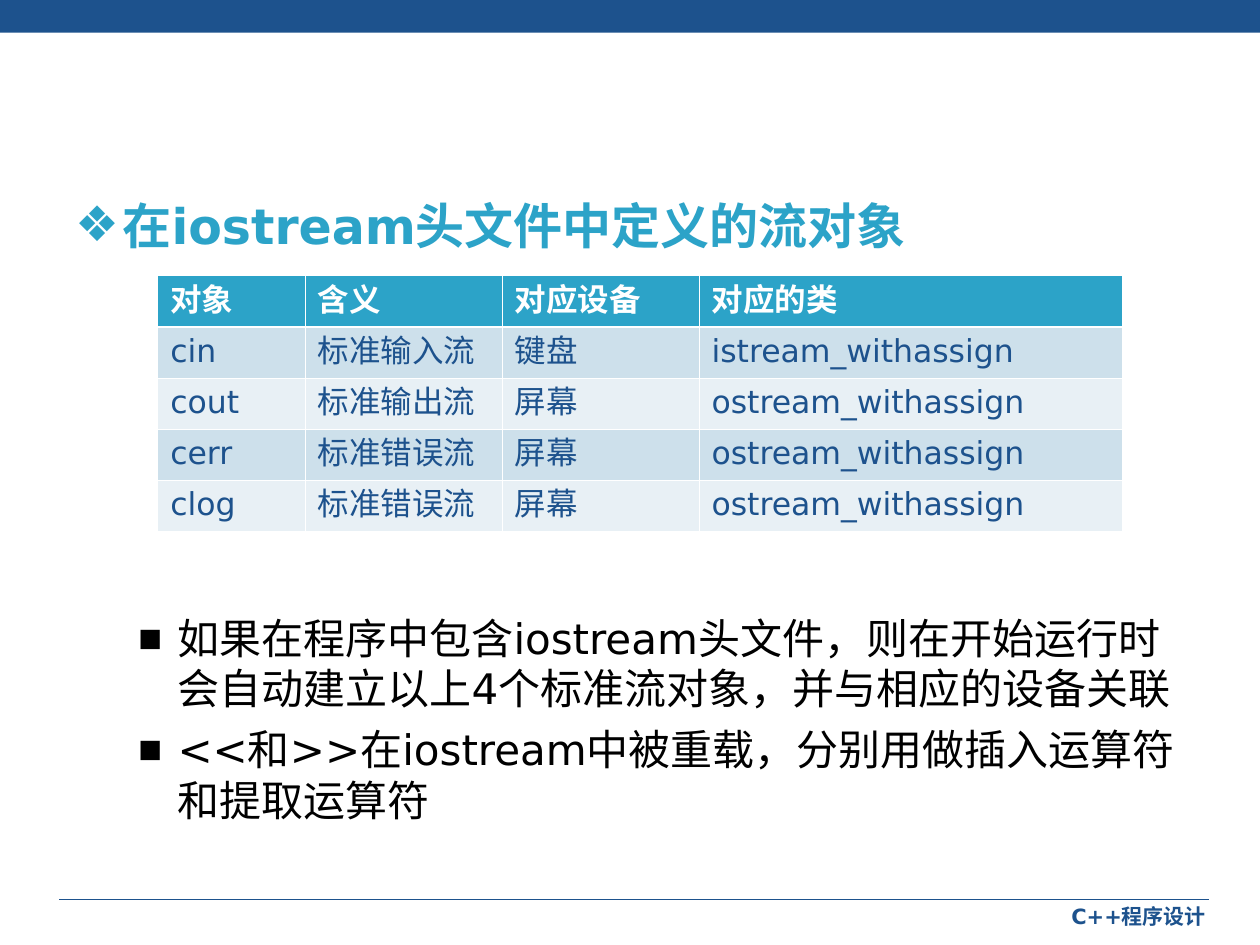
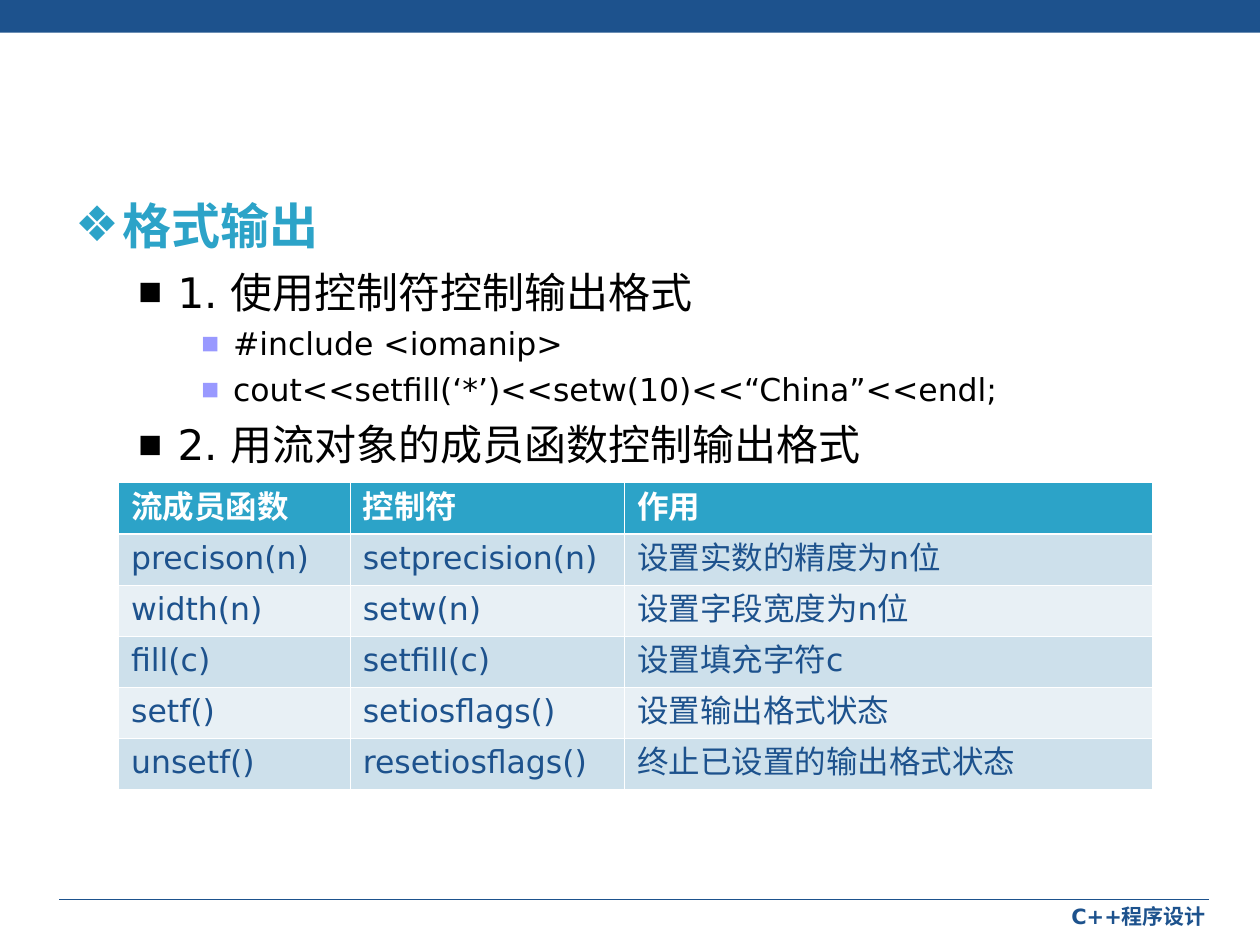
from dataclasses import dataclass

from lxml.etree import SubElement
from pptx import Presentation
from pptx.dml.color import RGBColor
from pptx.enum.shapes import MSO_CONNECTOR, MSO_SHAPE
from pptx.enum.text import MSO_ANCHOR, MSO_AUTO_SIZE, PP_ALIGN
from pptx.oxml.ns import qn
from pptx.slide import Slide
from pptx.util import Cm, Pt

FONT = "DejaVu Sans"
NAVY, TEAL, LILAC = "1D528D", "2CA3C8", "9999FF"
BLACK, WHITE = "000000", "FFFFFF"
BANDS = ("CDE0EB", "E8F0F5")
WIDE, HIGH = 25.4, 19.05
LEFT, SPAN, FOOT = 1.27, 22.86, 17.93
ROW = 1.03


@dataclass(frozen=True)
class Style:
    size: float
    color: str
    bold: bool = False


@dataclass(frozen=True)
class Level:
    style: Style
    mark: str
    tint: str
    scale: int
    indent: float
    hang: float
    gap: float


@dataclass(frozen=True)
class Point:
    text: str
    level: Level


@dataclass(frozen=True)
class Grid:
    left: float
    top: float
    widths: tuple[float, ...]
    rows: tuple[tuple[str, ...], ...]


@dataclass(frozen=True)
class Page:
    title: str
    top: float
    points: tuple[Point, ...]
    grid: Grid


HEAD = Level(Style(28, TEAL, True), "❖", TEAL, 100, 0.95, 0.95, 0)
MAIN = Level(Style(24, BLACK), "■", BLACK, 60, 2.06, 0.79, 6)
SUB = Level(Style(18, BLACK), "■", LILAC, 60, 3.18, 0.64, 4.5)
FOOTER = Style(12, NAVY, True)
HEADER = Style(18, WHITE, True)
BODY = Style(18, NAVY)

PAGES = (
    Page(
        "在iostream头文件中定义的流对象",
        12.22,
        (
            Point("如果在程序中包含iostream头文件，则在开始运行时会自动建立以上4个标准流对象，并与相应的设备关联", MAIN),
            Point("<<和>>在iostream中被重载，分别用做插入运算符和提取运算符", MAIN),
        ),
        Grid(3.18, 5.56, (2.97, 3.97, 3.97, 8.53), (
            ("对象", "含义", "对应设备", "对应的类"),
            ("cin", "标准输入流", "键盘", "istream_withassign"),
            ("cout", "标准输出流", "屏幕", "ostream_withassign"),
            ("cerr", "标准错误流", "屏幕", "ostream_withassign"),
            ("clog", "标准错误流", "屏幕", "ostream_withassign"),
        )),
    ),
    Page(
        "格式输出",
        5.24,
        (
            Point("1. 使用控制符控制输出格式", MAIN),
            Point("#include <iomanip>", SUB),
            Point("cout<<setfill(‘*’)<<setw(10)<<“China”<<endl;", SUB),
            Point("2. 用流对象的成员函数控制输出格式", MAIN),
        ),
        Grid(2.39, 9.73, (4.67, 5.53, 10.63), (
            ("流成员函数", "控制符", "作用"),
            ("precison(n)", "setprecision(n)", "设置实数的精度为n位"),
            ("width(n)", "setw(n)", "设置字段宽度为n位"),
            ("fill(c)", "setfill(c)", "设置填充字符c"),
            ("setf()", "setiosflags()", "设置输出格式状态"),
            ("unsetf()", "resetiosflags()", "终止已设置的输出格式状态"),
        )),
    ),
)


def rgb(code: str) -> RGBColor:
    return RGBColor.from_string(code)


def write(para, text: str, style: Style) -> None:
    para.text = text
    for run in para.runs:
        font = run.font
        font.size, font.bold = Pt(style.size), style.bold
        font.color.rgb = rgb(style.color)
        font.name = FONT
        SubElement(run.font._element, qn("a:ea"), typeface=FONT)


def bullet(para, level: Level) -> None:
    """Give a paragraph the mark and hanging indent of its level."""
    props = para._p.get_or_add_pPr()
    props.set("marL", str(Cm(level.indent)))
    props.set("indent", str(-Cm(level.hang)))
    tint = SubElement(props, qn("a:buClr"))
    SubElement(tint, qn("a:srgbClr"), val=level.tint)
    SubElement(props, qn("a:buSzPct"), val=str(level.scale * 1000))
    SubElement(props, qn("a:buFont"), typeface=FONT)
    SubElement(props, qn("a:buChar"), char=level.mark)


def add_box(slide: Slide, left: float, top: float, width: float, height: float):
    box = slide.shapes.add_textbox(Cm(left), Cm(top), Cm(width), Cm(height))
    box.text_frame.word_wrap = True
    return box.text_frame


def add_frame(slide: Slide) -> None:
    """Draw the top band, the footer rule and the footer."""
    band = slide.shapes.add_shape(MSO_SHAPE.RECTANGLE, 0, 0, Cm(WIDE), Cm(0.66))
    band.shadow.inherit = False
    band.fill.solid()
    band.fill.fore_color.rgb = rgb(NAVY)
    band.line.fill.background()
    rule = slide.shapes.add_connector(
        MSO_CONNECTOR.STRAIGHT, Cm(1.19), Cm(18.13), Cm(24.38), Cm(18.13))
    rule.line.color.rgb = rgb(NAVY)
    rule.line.width = Pt(0.75)
    SubElement(rule._element.spPr, qn("a:effectLst"))
    para = add_box(slide, 16.51, 18.08, 8.05, 0.84).paragraphs[0]
    para.alignment = PP_ALIGN.RIGHT
    write(para, "C++程序设计", FOOTER)


def add_title(slide: Slide, text: str) -> None:
    title = slide.shapes.title
    title.left, title.top = Cm(LEFT), Cm(3.81)
    title.width, title.height = Cm(SPAN), Cm(1.4)
    frame = title.text_frame
    frame.auto_size = MSO_AUTO_SIZE.NONE
    frame.vertical_anchor = MSO_ANCHOR.TOP
    para = frame.paragraphs[0]
    para.alignment = PP_ALIGN.LEFT
    bullet(para, HEAD)
    write(para, text, HEAD.style)


def add_points(slide: Slide, top: float, points: tuple[Point, ...]) -> None:
    frame = add_box(slide, LEFT, top, SPAN, FOOT - top)
    for index, point in enumerate(points):
        para = frame.add_paragraph() if index else frame.paragraphs[0]
        para.level = 2 if point.level is SUB else 1
        para.space_before = Pt(point.level.gap if index else 0)
        bullet(para, point.level)
        write(para, point.text, point.level.style)


def add_edge(cell, side: str, width: float) -> None:
    edge = SubElement(cell._tc.get_or_add_tcPr(), qn(f"a:{side}"), w=str(Pt(width)))
    fill = SubElement(edge, qn("a:solidFill"))
    SubElement(fill, qn("a:srgbClr"), val=WHITE)


def add_grid(slide: Slide, grid: Grid) -> None:
    count = len(grid.rows)
    table = slide.shapes.add_table(
        count, len(grid.widths), Cm(grid.left), Cm(grid.top),
        Cm(sum(grid.widths)), Cm(ROW * count)).table
    for column, width in zip(table.columns, grid.widths):
        column.width = Cm(width)
    for r, texts in enumerate(grid.rows):
        table.rows[r].height = Cm(ROW)
        for c, text in enumerate(texts):
            cell = table.cell(r, c)
            thick = {0: "lnB", 1: "lnT"}.get(r)
            for side in ("lnL", "lnR", "lnT", "lnB"):
                add_edge(cell, side, 1.47 if side == thick else 0.45)
            cell.fill.solid()
            cell.fill.fore_color.rgb = rgb(BANDS[(r - 1) % 2] if r else TEAL)
            write(cell.text_frame.paragraphs[0], text, BODY if r else HEADER)


def main() -> None:
    deck = Presentation()
    deck.slide_width, deck.slide_height = Cm(WIDE), Cm(HIGH)
    layout = deck.slide_layouts.get_by_name("Title Only")
    for page in PAGES:
        slide = deck.slides.add_slide(layout)
        add_frame(slide)
        add_title(slide, page.title)
        add_points(slide, page.top, page.points)
        add_grid(slide, page.grid)
    deck.save("out.pptx")


if __name__ == "__main__":
    main()
